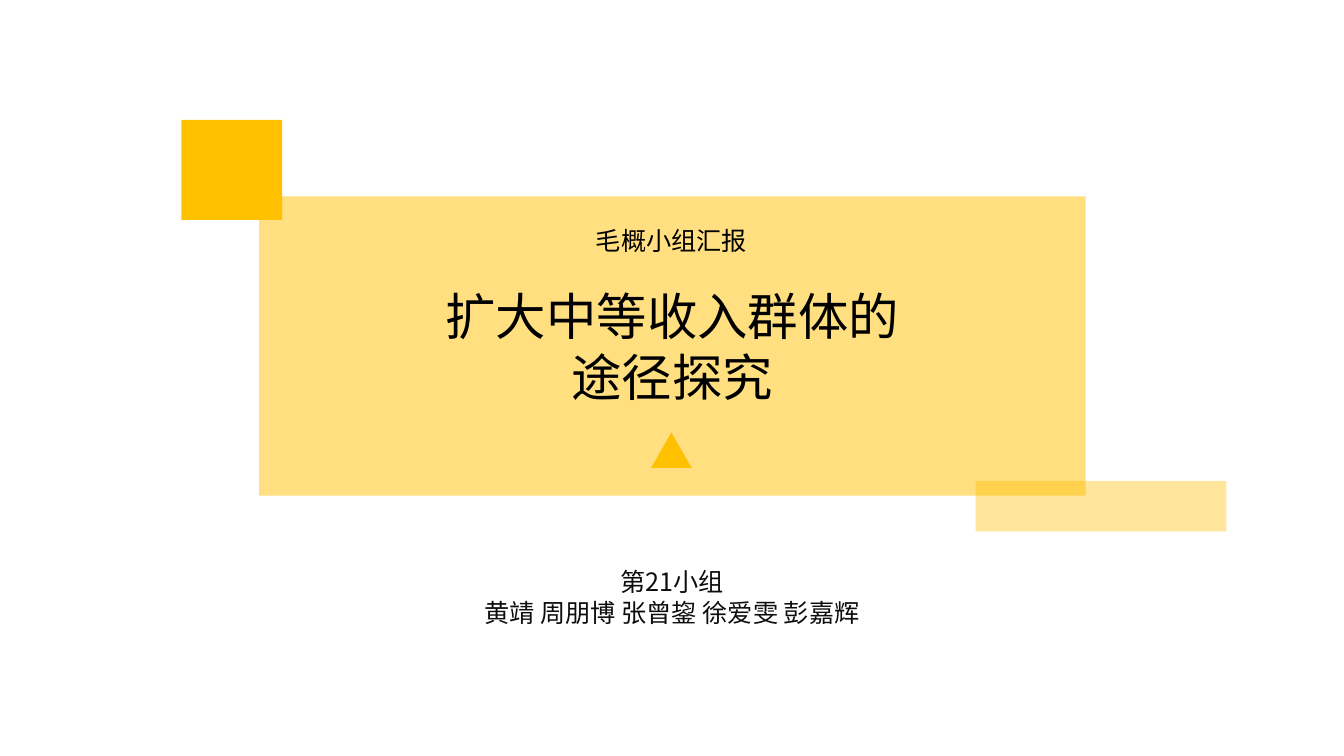
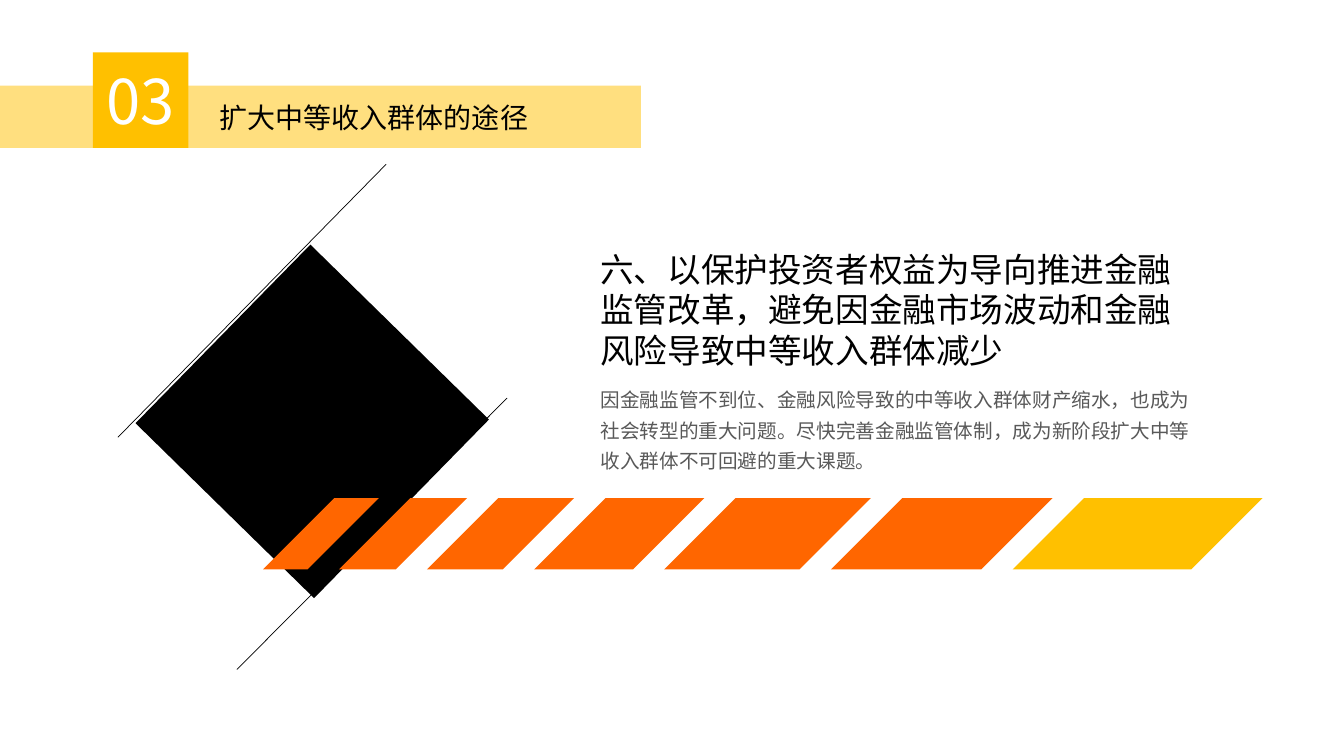
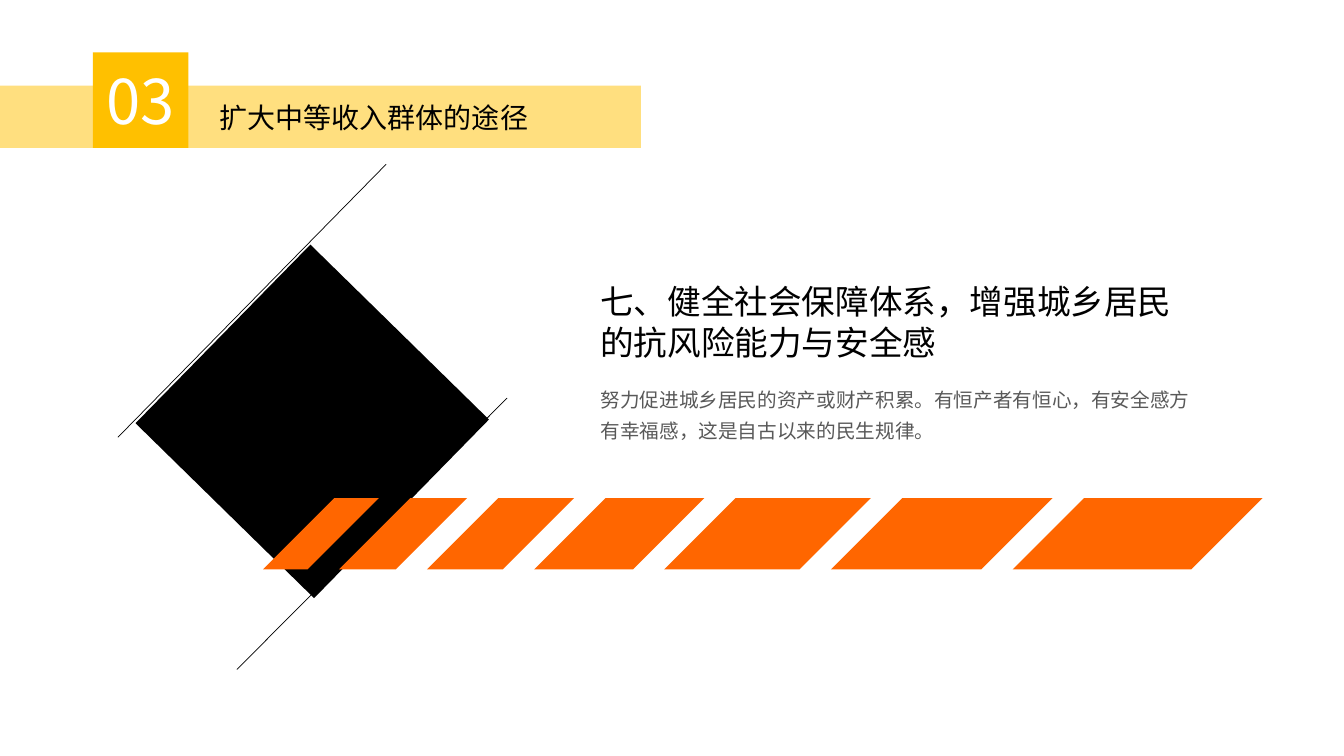
from dataclasses import dataclass

from lxml.etree import SubElement
from pptx import Presentation
from pptx.dml.color import RGBColor
from pptx.enum.shapes import MSO_CONNECTOR as Connector, MSO_SHAPE as Preset
from pptx.enum.text import MSO_ANCHOR as Anchor, MSO_AUTO_SIZE as AutoSize, PP_ALIGN as Align
from pptx.oxml.ns import qn
from pptx.shapes.autoshape import Shape
from pptx.slide import Slide
from pptx.util import Cm, Pt

FONT = "Noto Sans CJK SC"
COLORS = {
    "amber": "FFC000",
    "orange": "FF6600",
    "black": "000000",
    "ink": "0D0D0D",
    "gray": "595959",
    "white": "FFFFFF",
}
TITLE_LAYOUT, CONTENT_LAYOUT = 0, 1
STRIPE_WIDTHS = (2.92, 3.23, 3.71, 4.29, 5.21, 5.59, 6.3)
STRIPE_LEFT, STRIPE_TOP, STRIPE_HEIGHT = 6.63, 12.55, 1.8
STRIPE_OVERLAP = 1.01
SECTION_NUMBER, SECTION_TITLE = "03", "扩大中等收入群体的途径"


@dataclass(frozen=True)
class Box:
    """A frame in centimetres."""
    left: float
    top: float
    width: float
    height: float

    def lengths(self) -> tuple[Cm, Cm, Cm, Cm]:
        return Cm(self.left), Cm(self.top), Cm(self.width), Cm(self.height)


@dataclass(frozen=True)
class TextStyle:
    size: float
    color: str = "black"
    align: Align = Align.LEFT
    line_spacing: float = 1.0


@dataclass(frozen=True)
class Measure:
    """One way to enlarge the middle-income group."""
    heading: str
    detail: str
    heading_box: Box
    last_stripe: str


MEASURES = (
    Measure(
        "六、以保护投资者权益为导向推进金融监管改革，避免因金融市场波动和金融风险导致中等收入群体减少",
        "因金融监管不到位、金融风险导致的中等收入群体财产缩水，也成为社会转型的重大问题。"
        "尽快完善金融监管体制，成为新阶段扩大中等收入群体不可回避的重大课题。",
        Box(14.88, 6.15, 15.42, 3.33),
        "amber",
    ),
    Measure(
        "七、健全社会保障体系，增强城乡居民的抗风险能力与安全感",
        "努力促进城乡居民的资产或财产积累。有恒产者有恒心，有安全感方有幸福感，这是自古以来的民生规律。",
        Box(14.88, 6.96, 15.42, 2.31),
        "orange",
    ),
)


def rgb(color: str) -> RGBColor:
    return RGBColor.from_string(COLORS[color])


def add_block(slide: Slide, preset: Preset, box: Box, color: str, opacity: int = 100) -> Shape:
    block = slide.shapes.add_shape(preset, *box.lengths())
    block.shadow.inherit = False
    block.line.fill.background()
    block.fill.solid()
    block.fill.fore_color.rgb = rgb(color)
    if opacity < 100:
        srgb = block.fill._xPr.find(f".//{qn('a:srgbClr')}")
        SubElement(srgb, qn("a:alpha"), val=str(opacity * 1000))
    return block


def write(shape: Shape, text: str, style: TextStyle, anchor: Anchor = Anchor.TOP) -> None:
    frame = shape.text_frame
    frame.text = text
    frame.word_wrap = True
    frame.auto_size = AutoSize.NONE
    frame.vertical_anchor = anchor
    for paragraph in frame.paragraphs:
        properties = paragraph._p.get_or_add_pPr()
        properties.set("marL", "0")
        properties.set("indent", "0")
        paragraph.alignment = style.align
        paragraph.line_spacing = style.line_spacing
        paragraph.space_before = Pt(0)
        SubElement(properties, qn("a:buNone"))
        font = paragraph.font
        font.size = Pt(style.size)
        font.name = FONT
        font.color.rgb = rgb(style.color)
        SubElement(font._element, qn("a:ea"), typeface=FONT)


def add_text(slide: Slide, box: Box, text: str, style: TextStyle) -> None:
    write(slide.shapes.add_textbox(*box.lengths()), text, style)


def fill_placeholder(slide: Slide, index: int, box: Box, text: str, style: TextStyle) -> None:
    """Move a placeholder into its box, in front of what is drawn so far."""
    holder = slide.placeholders[index]
    holder.left, holder.top, holder.width, holder.height = box.lengths()
    write(holder, text, style)
    slide.shapes._spTree.append(holder._element)


def add_thin_line(slide: Slide, start: tuple[float, float], end: tuple[float, float]) -> None:
    line = slide.shapes.add_connector(Connector.STRAIGHT, *map(Cm, start + end))
    line.line.color.rgb = rgb("black")
    line.line.width = Pt(0.5)
    SubElement(line._element.spPr, qn("a:effectLst"))


def add_stripes(slide: Slide, last_color: str) -> None:
    left = STRIPE_LEFT
    last = len(STRIPE_WIDTHS) - 1
    for position, width in enumerate(STRIPE_WIDTHS):
        color = last_color if position == last else "orange"
        box = Box(left, STRIPE_TOP, width, STRIPE_HEIGHT)
        add_block(slide, Preset.PARALLELOGRAM, box, color).adjustments[0] = 1
        left += width - STRIPE_OVERLAP


def add_section_header(slide: Slide) -> None:
    add_block(slide, Preset.RECTANGLE, Box(0, 2.16, 16.15, 1.57), "amber", 50)
    number = add_block(slide, Preset.RECTANGLE, Box(2.34, 1.32, 2.41, 2.41), "amber")
    write(number, SECTION_NUMBER, TextStyle(44, "white", Align.CENTER), Anchor.MIDDLE)
    fill_placeholder(slide, 0, Box(5.28, 2.41, 10.52, 1.12), SECTION_TITLE, TextStyle(20))


def add_diamond(slide: Slide) -> None:
    diamond = add_block(slide, Preset.RECTANGLE, Box(4.72, 7.47, 6.3, 6.3), "black")
    diamond.rotation = 44.4
    add_thin_line(slide, (5.97, 16.87), (12.78, 10.03))
    add_thin_line(slide, (2.97, 11.02), (9.73, 4.14))


def build_cover(deck: Presentation) -> None:
    slide = deck.slides.add_slide(deck.slide_layouts[TITLE_LAYOUT])
    add_block(slide, Preset.RECTANGLE, Box(6.53, 4.95, 20.83, 7.54), "amber", 50)
    add_block(slide, Preset.RECTANGLE, Box(4.57, 3.02, 2.54, 2.52), "amber")
    add_block(slide, Preset.RECTANGLE, Box(24.59, 12.12, 6.32, 1.27), "amber", 39)
    add_text(slide, Box(14.27, 5.56, 5.31, 1.02), "毛概小组汇报",
             TextStyle(18, align=Align.CENTER))
    fill_placeholder(slide, 0, Box(9.88, 7.06, 14.12, 3.33),
                     "扩大中等收入群体的\n途径探究", TextStyle(36, align=Align.CENTER))
    fill_placeholder(slide, 1, Box(10.39, 14.15, 13.08, 1.8),
                     "第21小组\n黄靖 周朋博 张曾鋆 徐爱雯 彭嘉辉",
                     TextStyle(18, "ink", Align.CENTER))
    add_block(slide, Preset.ISOSCELES_TRIANGLE, Box(16.41, 10.9, 1.02, 0.89), "amber")


def build_measure(deck: Presentation, measure: Measure) -> None:
    slide = deck.slides.add_slide(deck.slide_layouts[CONTENT_LAYOUT])
    add_section_header(slide)
    add_diamond(slide)
    add_text(slide, measure.heading_box, measure.heading, TextStyle(24))
    fill_placeholder(slide, 1, Box(14.88, 9.47, 15.42, 2.36), measure.detail,
                     TextStyle(14, "gray", line_spacing=1.3))
    add_stripes(slide, measure.last_stripe)


def main() -> None:
    deck = Presentation()
    deck.slide_width, deck.slide_height = Cm(33.87), Cm(19.05)
    build_cover(deck)
    for measure in MEASURES:
        build_measure(deck, measure)
    deck.save("out.pptx")


if __name__ == "__main__":
    main()
